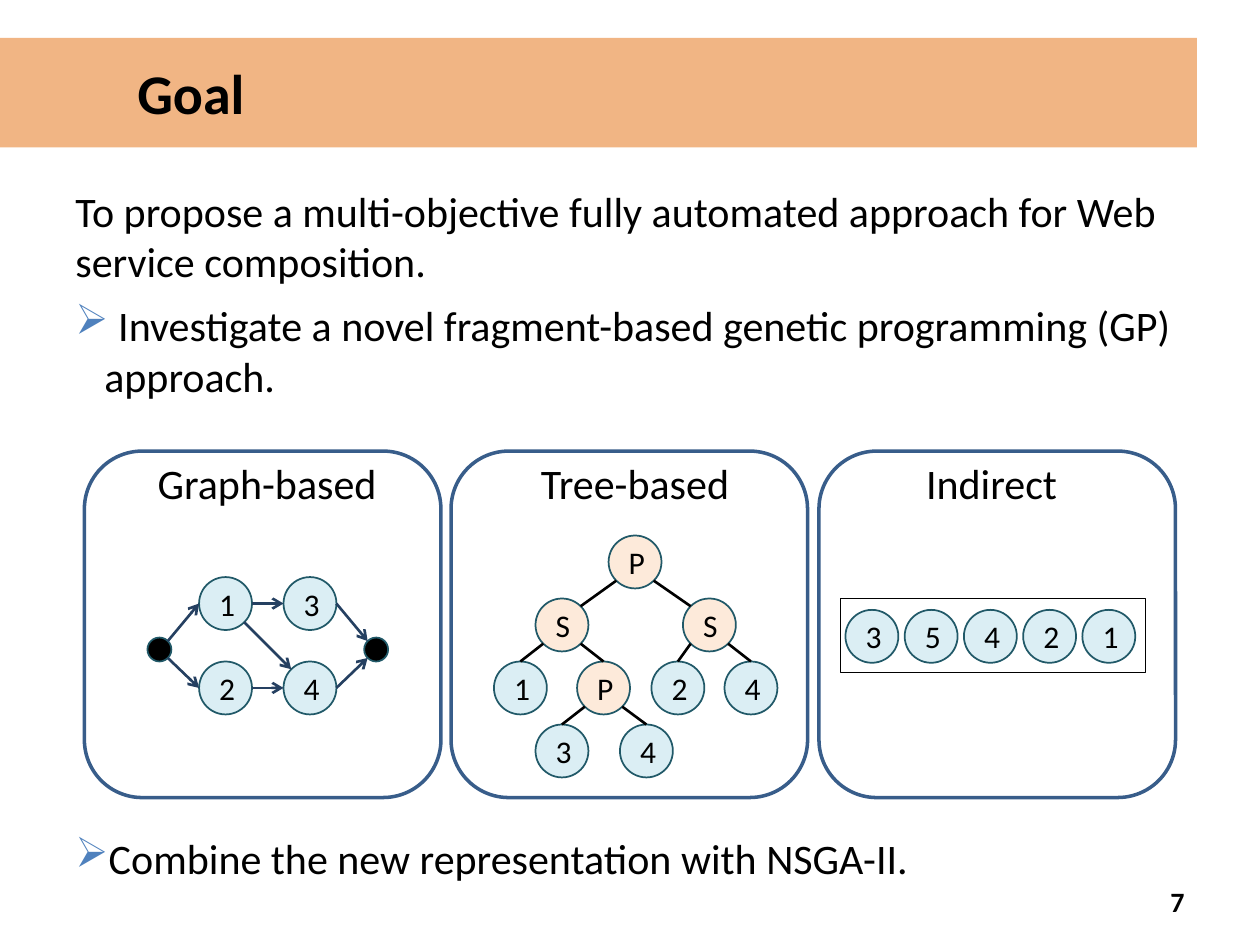
"""Build the slide stating the goal of the service composition work."""
from dataclasses import dataclass
from math import sqrt

from lxml import etree
from pptx import Presentation
from pptx.dml.color import RGBColor
from pptx.enum.shapes import MSO_CONNECTOR, MSO_SHAPE
from pptx.enum.text import MSO_ANCHOR, PP_ALIGN
from pptx.oxml.ns import qn
from pptx.util import Inches, Pt

STRAIGHT = MSO_CONNECTOR.STRAIGHT
RECTANGLE, ROUNDED, OVAL = MSO_SHAPE.RECTANGLE, MSO_SHAPE.ROUNDED_RECTANGLE, MSO_SHAPE.OVAL
TOP, MIDDLE = MSO_ANCHOR.TOP, MSO_ANCHOR.MIDDLE
LEFT, CENTER, RIGHT = PP_ALIGN.LEFT, PP_ALIGN.CENTER, PP_ALIGN.RIGHT

FONT = "Calibri"
COLORS = {
    "text": "000000", "banner": "E46C0A", "bullet": "4F81BD", "paper": "FFFFFF",
    "panel": "385D8A", "outline": "215968", "service": "DBEEF4",
    "operator": "FDEADA", "arrow": "254061",
}
DIAGONAL = sqrt(0.5)
SITES = {
    "top": (0, -1), "left": (-1, 0), "right": (1, 0),
    "top left": (-DIAGONAL, -DIAGONAL), "top right": (DIAGONAL, -DIAGONAL),
    "bottom left": (-DIAGONAL, DIAGONAL), "bottom right": (DIAGONAL, DIAGONAL),
}


@dataclass(frozen=True)
class Node:
    """A circle of a service diagram, placed in inches."""
    left: float
    top: float
    label: str = ""
    fill: str = "service"
    size: float = 0.42

    def site(self, name: str) -> tuple[float, float]:
        """Return the point of the rim with the given name."""
        radius = self.size / 2
        across, down = SITES[name]
        return self.left + radius * (1 + across), self.top + radius * (1 + down)


@dataclass(frozen=True)
class Edge:
    """A link between the rims of two named nodes."""
    start: str
    start_site: str
    end: str
    end_site: str


def rgb(name: str) -> RGBColor:
    """Look up a named colour."""
    return RGBColor.from_string(COLORS[name])


def write(frame, *texts: str, size: float, bold: bool = False, align=LEFT, anchor=TOP,
          bullet: str = "", gap: float = 0) -> None:
    """Fill a text frame with one paragraph per text."""
    frame.word_wrap = True
    frame.vertical_anchor = anchor
    for index, text in enumerate(texts):
        paragraph = frame.paragraphs[0] if index == 0 else frame.add_paragraph()
        paragraph.alignment = align
        if bullet:
            properties = paragraph._p.get_or_add_pPr()
            properties.set("marL", str(Inches(0.23)))
            properties.set("indent", str(-Inches(0.23)))
            tint = etree.SubElement(properties, qn("a:buClr"))
            etree.SubElement(tint, qn("a:srgbClr"), val=COLORS["bullet"])
            etree.SubElement(properties, qn("a:buChar"), char=bullet)
        if index:
            paragraph.space_before = Pt(gap)
        run = paragraph.add_run()
        run.text = text
        run.font.name = FONT
        run.font.size = Pt(size)
        run.font.bold = bold
        run.font.color.rgb = rgb("text")


def add_text(slide, left: float, top: float, width: float, height: float,
             *texts: str, **text_format) -> None:
    """Add a text box."""
    box = slide.shapes.add_textbox(Inches(left), Inches(top), Inches(width), Inches(height))
    write(box.text_frame, *texts, **text_format)


def add_block(slide, kind, left: float, top: float, width: float, height: float,
              fill: str, line: str = "", weight: float = 1):
    """Add a filled preset shape, outlined when a line colour is named."""
    block = slide.shapes.add_shape(kind, Inches(left), Inches(top), Inches(width), Inches(height))
    block.shadow.inherit = False
    block.fill.solid()
    block.fill.fore_color.rgb = rgb(fill)
    if line:
        block.line.color.rgb = rgb(line)
        block.line.width = Pt(weight)
    else:
        block.line.fill.background()
    return block


def draw_node(slide, node: Node) -> None:
    """Draw a node with its label."""
    circle = add_block(slide, OVAL, node.left, node.top, node.size, node.size,
                       node.fill, "outline")
    if node.label:
        write(circle.text_frame, node.label, size=18, align=CENTER, anchor=MIDDLE)


def draw_edge(slide, nodes: dict[str, Node], edge: Edge, color: str, arrow: bool) -> None:
    """Draw an edge, with an open arrowhead on request."""
    points = (*nodes[edge.start].site(edge.start_site), *nodes[edge.end].site(edge.end_site))
    link = slide.shapes.add_connector(STRAIGHT, *(Inches(value) for value in points))
    link.line.color.rgb = rgb(color)
    link.line.width = Pt(1.5)
    properties = link._element.spPr
    if arrow:
        etree.SubElement(properties.find(qn("a:ln")), qn("a:tailEnd"), type="arrow")
    etree.SubElement(properties, qn("a:effectLst"))


def draw_diagram(slide, nodes: dict[str, Node], edges: list[Edge], color: str,
                 arrow: bool = False) -> None:
    """Draw all nodes of a diagram and then its edges."""
    for node in nodes.values():
        draw_node(slide, node)
    for edge in edges:
        draw_edge(slide, nodes, edge, color, arrow)


PANELS = [(0.67, 1.08, "Graph-based"), (3.58, 4, "Tree-based"), (6.5, 6.83, "Indirect")]
GRAPH_NODES = {
    "start": Node(1.17, 5.06, fill="text", size=0.19),
    "1": Node(1.58, 4.58, "1"),
    "2": Node(1.58, 5.25, "2"),
    "4": Node(2.25, 5.25, "4"),
    "3": Node(2.25, 4.58, "3"),
    "end": Node(2.89, 5.06, fill="text", size=0.19),
}
GRAPH_EDGES = [
    Edge("start", "top right", "1", "left"),
    Edge("start", "bottom right", "2", "left"),
    Edge("1", "right", "3", "left"),
    Edge("2", "right", "4", "left"),
    Edge("3", "right", "end", "top left"),
    Edge("4", "right", "end", "bottom left"),
    Edge("1", "bottom right", "4", "top left"),
]
TREE_NODES = {
    "root": Node(4.83, 4.25, "P", "operator"),
    "left S": Node(4.25, 4.75, "S", "operator"),
    "1": Node(3.92, 5.25, "1"),
    "inner P": Node(4.58, 5.25, "P", "operator"),
    "3": Node(4.25, 5.75, "3"),
    "inner 4": Node(4.92, 5.75, "4"),
    "right S": Node(5.42, 4.75, "S", "operator"),
    "2": Node(5.17, 5.25, "2"),
    "outer 4": Node(5.75, 5.25, "4"),
}
TREE_EDGES = [
    Edge("root", "bottom right", "right S", "top left"),
    Edge("root", "bottom left", "left S", "top right"),
    Edge("left S", "bottom left", "1", "top"),
    Edge("left S", "bottom right", "inner P", "top"),
    Edge("right S", "bottom left", "2", "top"),
    Edge("right S", "bottom right", "outer 4", "top"),
    Edge("inner P", "bottom left", "3", "top"),
    Edge("inner P", "bottom right", "inner 4", "top"),
]


def main() -> None:
    """Build and save the slide."""
    deck = Presentation()
    deck.slide_width, deck.slide_height = Inches(10), Inches(7.5)
    slide = deck.slides.add_slide(deck.slide_layouts[6])

    banner = add_block(slide, RECTANGLE, 0, 0.3, 9.5, 0.87, "banner")
    tint = banner._element.spPr.find(qn("a:solidFill"))[0]
    etree.SubElement(tint, qn("a:alpha"), val="50000")
    banner.text_frame.margin_left = Inches(1.09)
    write(banner.text_frame, "Goal", size=32, bold=True, anchor=MIDDLE)

    add_text(slide, 0.5, 1.42, 9, 1, "To propose a multi-objective fully automated approach "
             "for Web service composition.", size=24)
    add_text(slide, 7.17, 6.95, 2.33, 0.4, "7", size=16, bold=True, align=RIGHT, anchor=MIDDLE)
    add_text(slide, 0.5, 2.33, 9, 4.74,
             " Investigate a novel fragment-based genetic programming (GP) approach.",
             "Combine the new representation with NSGA-II.", size=24, bullet="➢", gap=247)

    for panel_left, heading_left, heading in PANELS:
        add_block(slide, ROUNDED, panel_left, 3.58, 2.83, 2.75, "paper", "panel", 2)
        add_text(slide, heading_left, 3.58, 2.08, 0.5, heading, size=24, align=CENTER)

    draw_diagram(slide, GRAPH_NODES, GRAPH_EDGES, "arrow", arrow=True)
    draw_diagram(slide, TREE_NODES, TREE_EDGES, "text")
    add_block(slide, RECTANGLE, 6.67, 4.75, 2.42, 0.59, "paper", "text", 0.75)
    for position, label in enumerate("35421"):
        draw_node(slide, Node(6.71 + 0.47 * position, 4.84, label))

    deck.save("out.pptx")


if __name__ == "__main__":
    main()
